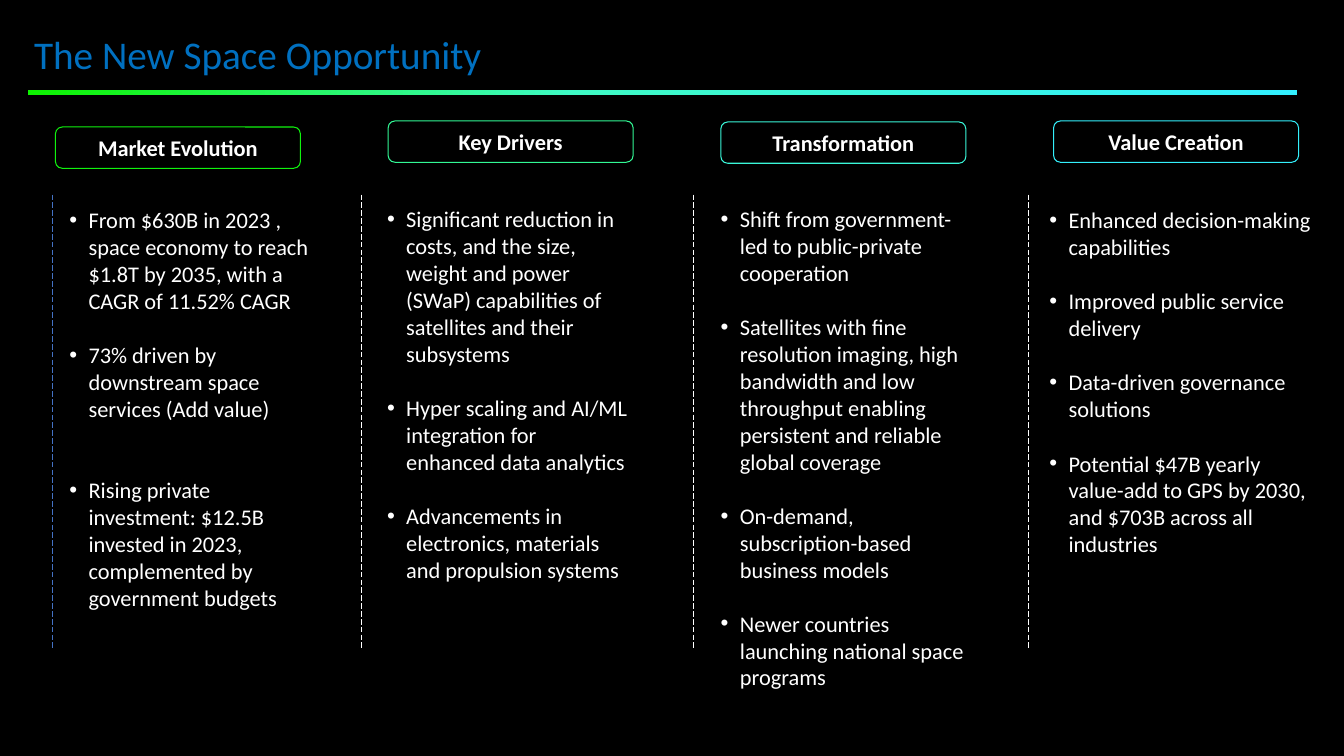
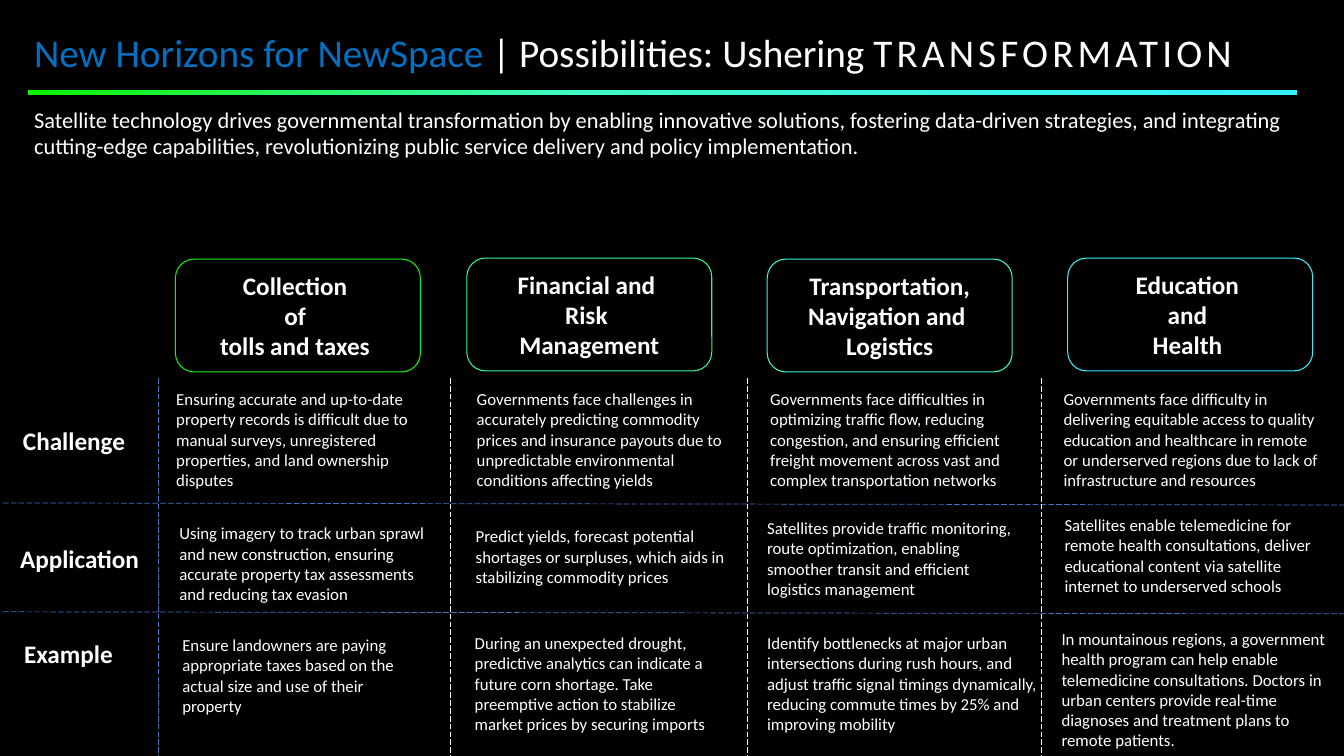
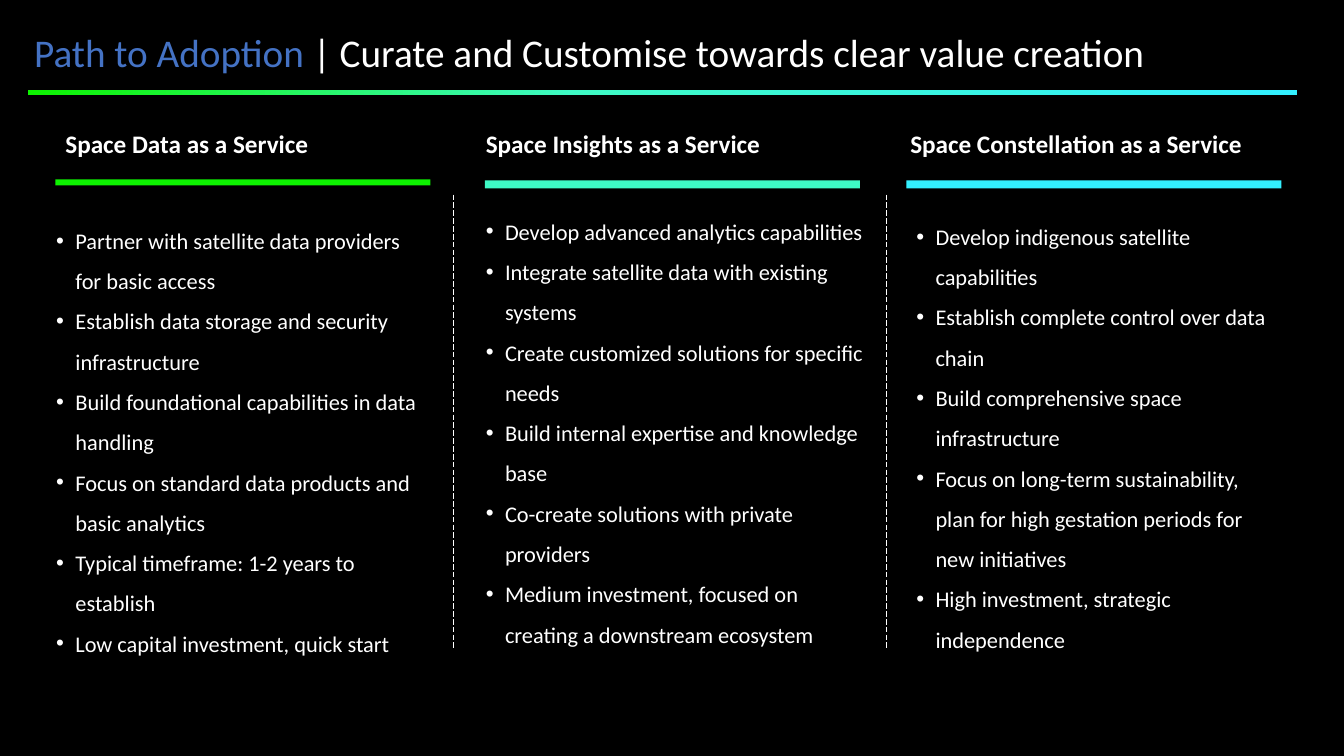
from copy import deepcopy
from dataclasses import dataclass
from typing import NamedTuple

from pptx import Presentation
from pptx.dml.color import RGBColor
from pptx.enum.dml import MSO_LINE
from pptx.enum.shapes import MSO_CONNECTOR, MSO_SHAPE as Preset
from pptx.enum.text import MSO_ANCHOR as Anchor, PP_ALIGN as Align
from pptx.oxml.ns import qn
from pptx.oxml.xmlchemy import OxmlElement
from pptx.util import Inches, Pt


@dataclass(frozen=True)
class Theme:
    font: str = "Calibri"
    background: str = "000000"
    text: str = "FFFFFF"
    title: str = "0070C0"
    accent: str = "4472C4"
    outlines: tuple = ("10F30E", "32F895", "3AF7D9", "34F0FC")
    ramp: tuple = ("0DF200", "3EFAC5", "33F0FF")
    title_size: float = 28
    heading_size: float = 18
    body_size: float = 16
    cell_size: float = 12
    blank_line: float = 19.5
    indent: float = 0.19


THEME = Theme()


class Box(NamedTuple):
    left: float
    top: float
    width: float
    height: float

    def inside(self, dx, dy, width, height):
        """Box offset from this box's top left corner."""
        return Box(self.left + dx, self.top + dy, width, height)

    def lengths(self):
        return [Inches(value) for value in self]


class Run(NamedTuple):
    text: str
    color: str = THEME.text
    spacing: float = 0


def rgb(color):
    return RGBColor.from_string(color)


def write(frame, content, *, size=THEME.body_size, color=THEME.text, bold=False,
          align=None, bullet=False, line_spacing=None, space_after=None):
    """Append one paragraph, given as a string or a list of runs."""
    paragraph = frame.add_paragraph() if frame.text else frame.paragraphs[0]
    if align is not None:
        paragraph.alignment = align
    if line_spacing:
        paragraph.line_spacing = line_spacing
    if space_after:
        paragraph.space_after = Pt(space_after)
    if bullet:
        properties = paragraph._p.get_or_add_pPr()
        properties.set("marL", str(Inches(THEME.indent)))
        properties.set("indent", str(-Inches(THEME.indent)))
        font = OxmlElement("a:buFont")
        font.set("typeface", "Arial")
        mark = OxmlElement("a:buChar")
        mark.set("char", "•")
        properties.extend([font, mark])
    runs = [Run(content, color)] if isinstance(content, str) else content
    for item in runs:
        run = paragraph.add_run()
        run.text = item.text
        run.font.name = THEME.font
        run.font.size = Pt(size)
        run.font.bold = bold
        run.font.color.rgb = rgb(item.color)
        if item.spacing:
            run._r.get_or_add_rPr().set("spc", str(int(item.spacing * 100)))


def add_text(slide, box, *paragraphs, anchor=Anchor.TOP, **format):
    frame = slide.shapes.add_textbox(*box.lengths()).text_frame
    frame.word_wrap = True
    frame.vertical_anchor = anchor
    for content in paragraphs:
        write(frame, content, **format)
    return frame


def add_bar(slide, box, color):
    bar = slide.shapes.add_shape(Preset.RECTANGLE, *box.lengths())
    bar.shadow.inherit = False
    bar.line.fill.background()
    bar.fill.solid()
    bar.fill.fore_color.rgb = rgb(color)
    return bar


def add_header(slide, box, lines, color, size):
    header = slide.shapes.add_shape(Preset.ROUNDED_RECTANGLE, *box.lengths())
    header.shadow.inherit = False
    header.fill.background()
    header.line.color.rgb = rgb(color)
    header.line.width = Pt(0.75)
    header.text_frame.word_wrap = True
    for line in lines:
        write(header.text_frame, line, size=size, bold=True, align=Align.CENTER)


def add_dashed_line(slide, start, end, color=THEME.text):
    ends = [Inches(value) for value in (*start, *end)]
    line = slide.shapes.add_connector(MSO_CONNECTOR.STRAIGHT, *ends)
    line.line.color.rgb = rgb(color)
    line.line.width = Pt(0.5)
    line.line.dash_style = MSO_LINE.LONG_DASH
    line._element.spPr.append(OxmlElement("a:effectLst"))


def add_divider(slide, x, top, bottom, color=THEME.text):
    add_dashed_line(slide, (x, top), (x, bottom), color)


def add_title(slide, runs, height=0.81):
    """Title text over the gradient rule."""
    add_text(slide, Box(0.24, -0.01, 12.78, height), runs, anchor=Anchor.BOTTOM,
             size=THEME.title_size, line_spacing=1.2, space_after=6)
    rule = add_bar(slide, Box(0.28, 0.89, 12.58, 0.05), THEME.ramp[0])
    rule.fill.gradient()
    rule.fill.gradient_angle = 0
    stop_list = rule._element.spPr.find(".//" + qn("a:gsLst"))
    stop_list.insert(1, deepcopy(stop_list[0]))
    for stop, color, position in zip(rule.fill.gradient_stops, THEME.ramp, (0, 0.43, 1)):
        stop.color.rgb = rgb(color)
        stop.position = position


class Topic(NamedTuple):
    heading: str
    header_dy: float
    divider_dx: float
    text_dx: float
    text_dy: float
    text_width: float
    bullets: tuple
    blank_lines: tuple = (1, 1, 1, 1)


TOPICS = (
    Topic("Market Evolution", 0.06, -0.03, 0.04, 0.8, 2.68, (
        "From $630B in 2023 , space economy to reach $1.8T by 2035, with a CAGR of 11.52% CAGR",
        "73% driven by downstream space services (Add value)",
        "Rising private investment: $12.5B invested in 2023, complemented by government budgets",
    ), (1, 2, 0)),
    Topic("Key Drivers", 0, -0.27, -0.11, 0.79, 2.61, (
        "Significant reduction in costs, and the size, weight and power (SWaP) capabilities "
        "of satellites and their subsystems",
        "Hyper scaling and AI/ML integration for enhanced data analytics",
        "Advancements in electronics, materials and propulsion systems",
    )),
    Topic("Transformation", 0.01, -0.27, -0.1, 0.79, 2.63, (
        "Shift from government-led to public-private cooperation",
        "Satellites with fine resolution imaging, high bandwidth and low throughput enabling "
        "persistent and reliable global coverage",
        "On-demand, subscription-based business models",
        "Newer countries launching national space programs",
    )),
    Topic("Value Creation", 0, -0.25, -0.14, 0.8, 2.81, (
        "Enhanced decision-making capabilities",
        "Improved public service delivery",
        "Data-driven governance solutions",
        "Potential $47B yearly value-add to GPS by 2030, and $703B across all industries",
    )),
)


def add_topic(slide, box, topic, outline, divider_color):
    add_divider(slide, box.left + topic.divider_dx, box.top + 0.73, box.top + 5.23,
                divider_color)
    add_header(slide, box.inside(0, topic.header_dy, box.width, 0.41), [topic.heading],
               outline, THEME.body_size)
    text_box = box.inside(topic.text_dx, topic.text_dy, topic.text_width,
                          box.height - topic.text_dy)
    frame = add_text(slide, text_box)
    for bullet, blank in zip(topic.bullets, topic.blank_lines):
        write(frame, bullet, bullet=True, space_after=blank * THEME.blank_line)


def build_opportunity(slide):
    add_title(slide, [Run("The New Space Opportunity", THEME.title)], height=0.83)
    for index, (topic, outline) in enumerate(zip(TOPICS, THEME.outlines)):
        box = Box(0.55 + 3.3 * index, 1.2, 2.43, 6)
        add_topic(slide, box, topic, outline, THEME.text if index else THEME.accent)


class Cell(NamedTuple):
    dx: float
    dy: float
    width: float
    text: str


class Sector(NamedTuple):
    left: float
    header_dx: float
    header_dy: float
    heading: tuple
    cells: tuple


SECTORS = (
    Sector(1.57, 0.17, 0.01, ("Collection ", "of ", "tolls and taxes "), (
        Cell(0.08, 1.25, 2.66, "Ensuring accurate and up-to-date property records is difficult due to "
             "manual surveys, unregistered properties, and land ownership disputes"),
        Cell(0.11, 2.58, 2.67, "Using imagery to track urban sprawl and new construction, ensuring "
             "accurate property tax assessments and reducing tax evasion"),
        Cell(0.14, 3.69, 2.62, "Ensure landowners are paying appropriate taxes based on the actual "
             "size and use of their property"),
    )),
    Sector(4.47, 0.16, 0, ("Financial and ", "Risk ", "Management"), (
        Cell(0.16, 1.25, 2.71, "Governments face challenges in accurately predicting commodity prices "
             "and insurance payouts due to unpredictable environmental conditions affecting yields"),
        Cell(0.15, 2.61, 2.67, "Predict yields, forecast potential shortages or surpluses, which aids "
             "in stabilizing commodity prices"),
        Cell(0.14, 3.67, 2.69, "During an unexpected drought, predictive analytics can indicate a "
             "future corn shortage. Take preemptive action to stabilize market prices by "
             "securing imports"),
    )),
    Sector(7.41, 0.2, 0.01, ("Transportation, Navigation and ", "Logistics"), (
        Cell(0.13, 1.25, 2.68, "Governments face difficulties in optimizing traffic flow, reducing "
             "congestion, and ensuring efficient freight movement across vast and complex "
             "transportation networks"),
        Cell(0.1, 2.53, 2.77, "Satellites provide traffic monitoring, route optimization, enabling "
             "smoother transit and efficient logistics management"),
        Cell(0.1, 3.67, 2.88, "Identify bottlenecks at major urban intersections during rush hours, "
             "and adjust traffic signal timings dynamically, reducing commute times by 25% and "
             "improving mobility"),
    )),
    Sector(10.33, 0.26, 0, ("Education ", "and ", "Health "), (
        Cell(0.12, 1.25, 2.75, "Governments face difficulty in delivering equitable access to quality "
             "education and healthcare in remote or underserved regions due to lack of "
             "infrastructure and resources"),
        Cell(0.13, 2.5, 2.75, "Satellites enable telemedicine for remote health consultations, deliver "
             "educational content via satellite internet to underserved schools"),
        Cell(0.1, 3.63, 2.88, "In mountainous regions, a government health program can help enable "
             "telemedicine consultations. Doctors in urban centers provide real-time diagnoses "
             "and treatment plans to remote patients."),
    )),
)

ROW_LABELS = (
    ("Challenge", Box(0.13, 4.17, 1.33, 0.4)),
    ("Application", Box(0.1, 5.34, 1.51, 0.4)),
    ("Example", Box(0.14, 6.28, 1.16, 0.4)),
)


def add_sector(slide, box, sector, outline, divider_color):
    add_divider(slide, box.left, box.top + 1.19, box.top + box.height, divider_color)
    add_header(slide, box.inside(sector.header_dx, sector.header_dy, 2.43, 1.12),
               sector.heading, outline, THEME.heading_size)
    for cell, height in zip(sector.cells, (1.11, 0.91, 1.11)):
        add_text(slide, box.inside(cell.dx, cell.dy, cell.width, height), cell.text,
                 size=THEME.cell_size)


def build_possibilities(slide):
    add_title(slide, [Run("New Horizons for NewSpace ", THEME.title),
                      Run("| Possibilities: Ushering "),
                      Run("TRANSFORMATION", spacing=3)])
    add_text(slide, Box(0.24, 1, 13.09, 0.64),
             "Satellite technology drives governmental transformation by enabling innovative "
             "solutions, fostering data-driven strategies, and integrating cutting-edge "
             "capabilities, revolutionizing public service delivery and policy implementation.")
    for y in (4.99, 6.07):
        add_dashed_line(slide, (0.03, y), (13.33, y + 0.02), THEME.accent)
    for label, box in ROW_LABELS:
        add_text(slide, box, label, size=THEME.heading_size, bold=True)
    for index, (sector, outline) in enumerate(zip(SECTORS, THEME.outlines)):
        add_sector(slide, Box(sector.left, 2.56, 2.9, 4.94), sector, outline,
                   THEME.text if index else THEME.accent)


class Service(NamedTuple):
    heading: str
    left: float
    heading_dx: float
    bar_dy: float
    bar_height: float
    text: Box
    bullets: tuple


SERVICES = (
    Service("Space Data as a Service", 0.55, 0, 0.56, 0.06, Box(-0.09, 0.85, 3.8, 4.5), (
        "Partner with satellite data providers for basic access",
        "Establish data storage and security infrastructure",
        "Build foundational capabilities in data handling",
        "Focus on standard data products and basic analytics",
        "Typical timeframe: 1-2 years to establish",
        "Low capital investment, quick start",
    )),
    Service("Space Insights as a Service", 4.81, -0.09, 0.57, 0.08, Box(-0.09, 0.76, 3.95, 4.5), (
        "Develop advanced analytics capabilities",
        "Integrate satellite data with existing systems",
        "Create customized solutions for specific needs",
        "Build internal expertise and knowledge base",
        "Co-create solutions with private providers",
        "Medium investment, focused on creating a downstream ecosystem",
    )),
    Service("Space Constellation as a Service", 8.99, -0.06, 0.57, 0.08, Box(0, 0.81, 3.72, 4.5), (
        "Develop indigenous satellite capabilities",
        "Establish complete control over data chain",
        "Build comprehensive space infrastructure",
        "Focus on long-term sustainability, plan for high gestation periods for new initiatives",
        "High investment, strategic independence",
    )),
)


def add_service(slide, box, service, color):
    add_text(slide, box.inside(service.heading_dx, 0, box.width + 0.06, 0.4), service.heading,
             size=THEME.heading_size, bold=True)
    add_bar(slide, box.inside(0, service.bar_dy, box.width, service.bar_height), color)
    add_text(slide, box.inside(*service.text), *service.bullets, bullet=True, line_spacing=1.5)


def build_adoption(slide):
    add_title(slide, [Run("Path to Adoption ", THEME.accent),
                      Run("| Curate and Customise towards clear value creation")])
    for service, color in zip(SERVICES, THEME.ramp):
        add_service(slide, Box(service.left, 1.22, 3.72, 5.35), service, color)
    for x in (4.5, 8.79):
        add_divider(slide, x, 1.93, 6.43)


def main():
    presentation = Presentation()
    presentation.slide_width = Inches(13.33)
    presentation.slide_height = Inches(7.5)
    background = presentation.slide_master.background.fill
    background.solid()
    background.fore_color.rgb = rgb(THEME.background)
    for build in (build_opportunity, build_possibilities, build_adoption):
        build(presentation.slides.add_slide(presentation.slide_layouts[6]))
    presentation.save("out.pptx")


if __name__ == "__main__":
    main()
